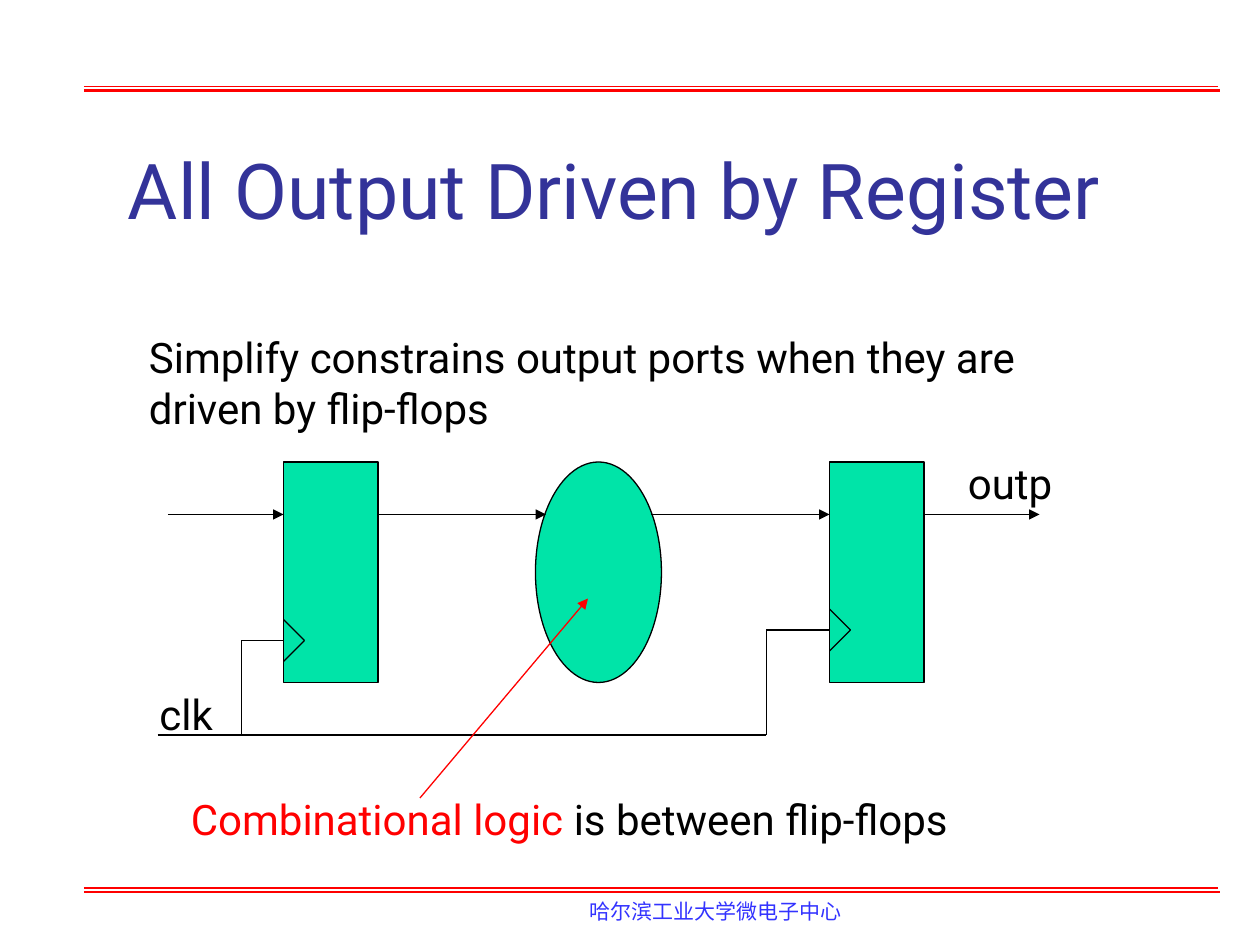
from pptx import Presentation
from pptx.dml.color import RGBColor
from pptx.enum.shapes import MSO_CONNECTOR, MSO_SHAPE
from pptx.oxml.ns import qn
from pptx.util import Pt
from lxml.etree import SubElement

RED = RGBColor(0xFF, 0x00, 0x00)
BLACK = RGBColor(0x00, 0x00, 0x00)
GREEN = RGBColor(0x00, 0xE4, 0xA8)
NAVY = RGBColor(0x33, 0x33, 0x99)
BLUE = RGBColor(0x33, 0x33, 0xFF)

prs = Presentation()
prs.slide_width, prs.slide_height = Pt(720), Pt(540)
slide = prs.slides.add_slide(prs.slide_layouts[6])


def add_line(start, end, color=BLACK, width=0.75, arrow=False):
    line = slide.shapes.add_connector(
        MSO_CONNECTOR.STRAIGHT, *[Pt(v) for v in (*start, *end)])
    line.line.color.rgb = color
    line.line.width = Pt(width)
    properties = line.element.spPr
    if arrow:
        SubElement(line.line._get_or_add_ln(), qn("a:tailEnd"), type="triangle")
    SubElement(properties, qn("a:effectLst"))


def add_text(left, top, width, height, runs, size=24, font="Roboto"):
    box = slide.shapes.add_textbox(Pt(left), Pt(top), Pt(width), Pt(height))
    box.text_frame.word_wrap = True
    paragraph = box.text_frame.paragraphs[0]
    for words, color in runs:
        run = paragraph.add_run()
        run.text = words
        run.font.size = Pt(size)
        run.font.name = font
        run.font.color.rgb = color


for rule_top in (49.5, 507.5):
    add_line((48, rule_top), (696, rule_top), RED)
    add_line((48, rule_top + 2.25), (697, rule_top + 2.25), RED, 1.5)

add_text(330, 510, 162, 21.6, [("哈尔滨工业大学微电子中心", BLUE)], 12, "DejaVu Sans")
add_text(66, 78, 588, 113, [("All Output Driven by Register", NAVY)], 44)
add_text(78, 186, 558, 65,
         [("Simplify constrains output ports when they are driven by flip-flops", BLACK)])

for outline, left, width in (
    (MSO_SHAPE.RECTANGLE, 162, 54),
    (MSO_SHAPE.OVAL, 306, 72),
    (MSO_SHAPE.RECTANGLE, 474, 54),
):
    block = slide.shapes.add_shape(outline, Pt(left), Pt(264), Pt(width), Pt(126))
    block.shadow.inherit = False
    block.fill.solid()
    block.fill.fore_color.rgb = GREEN
    block.line.color.rgb = BLACK
    block.line.width = Pt(0.75)

for register_left, clock_y, branch_x in ((162, 366, 138), (474, 360, 438)):
    tip = (register_left + 12, clock_y)
    add_line((register_left, clock_y - 12), tip)
    add_line(tip, (register_left, clock_y + 12))
    add_line((register_left, clock_y), (branch_x, clock_y))
    add_line((branch_x, clock_y), (branch_x, 420))
add_line((90, 420), (438, 420))

for data_start, data_end in ((96, 162), (216, 312), (372, 474), (528, 594)):
    add_line((data_start, 294), (data_end, 294), arrow=True)

add_text(84, 390, 48, 36, [("clk", BLACK)])
add_text(546, 258, 66, 65, [("outp", BLACK)])
add_text(102, 450, 480, 36,
         [("Combinational logic", RED), (" is between flip-flops", BLACK)])
add_line((240, 456), (336, 342), RED, arrow=True)

prs.save("out.pptx")
